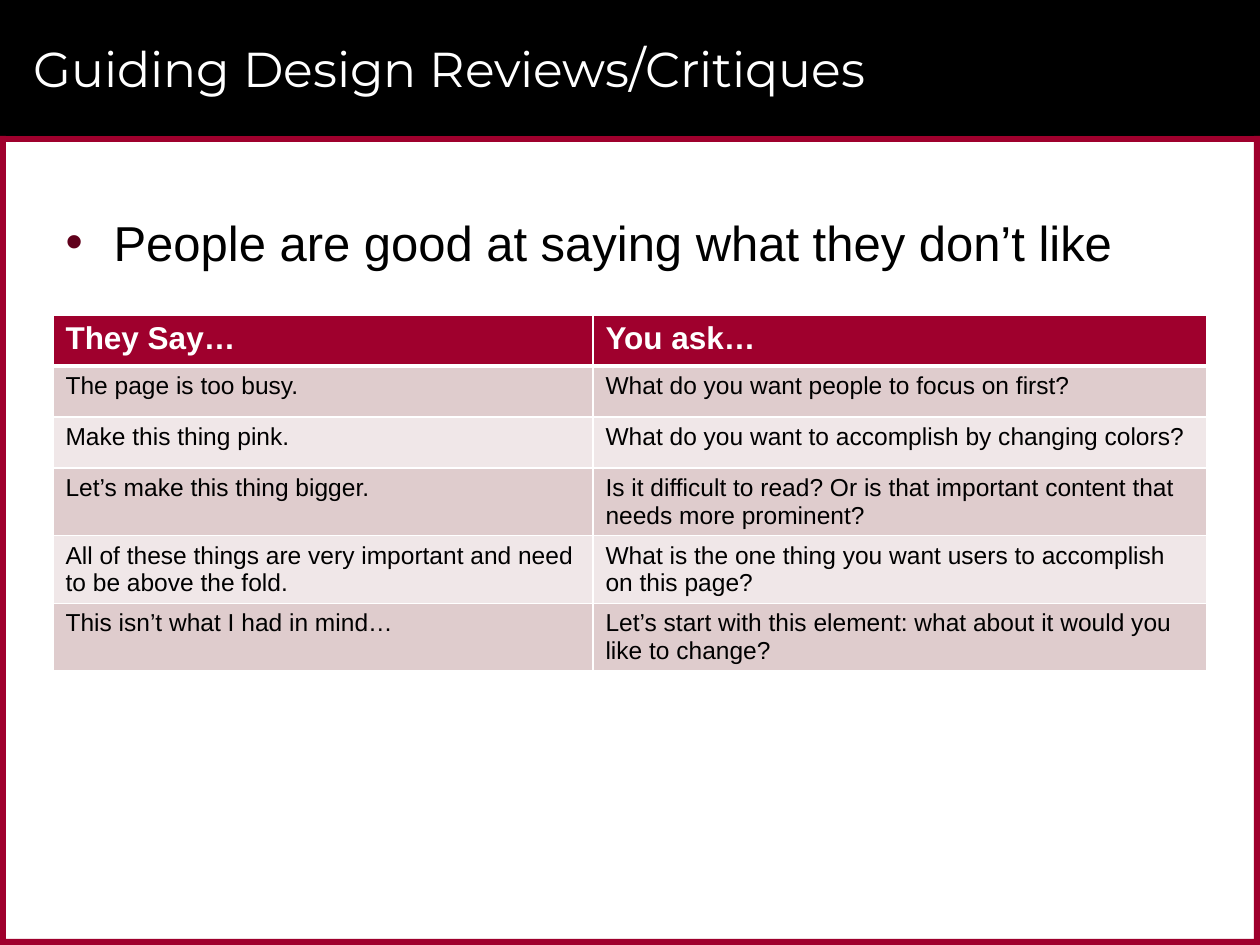
from lxml import etree
from pptx import Presentation
from pptx.dml.color import RGBColor
from pptx.enum.shapes import MSO_SHAPE
from pptx.enum.text import MSO_ANCHOR, MSO_AUTO_SIZE, PP_ALIGN
from pptx.oxml.ns import qn
from pptx.util import Pt

RECTANGLE = MSO_SHAPE.RECTANGLE
MIDDLE, TOP = MSO_ANCHOR.MIDDLE, MSO_ANCHOR.TOP
LEFT = PP_ALIGN.LEFT
NO_FIT = MSO_AUTO_SIZE.NONE
SCALE = 914400 / 126
WIDTH, HEIGHT, BAND, EDGE = 1260, 945, 136, 6
COLORS = {
    "black": "000000",
    "white": "FFFFFF",
    "crimson": "9F002D",
    "bullet": "60001B",
    "odd": "DFCCCD",
    "even": "F0E7E8",
}
FORMATS = {
    "title": {"name": "Montserrat", "size": Pt(28), "bold": False, "color": "white"},
    "body": {"name": "Arial", "size": Pt(28), "bold": False, "color": "black"},
    "header": {"name": "Arial", "size": Pt(18), "bold": True, "color": "white"},
    "cell": {"name": "Arial", "size": Pt(14), "bold": False, "color": "black"},
}
ROWS = [
    ("They Say…", "You ask…"),
    ("The page is too busy.", "What do you want people to focus on first?"),
    ("Make this thing pink.", "What do you want to accomplish by changing colors?"),
    ("Let’s make this thing bigger.",
     "Is it difficult to read? Or is that important content that needs more prominent?"),
    ("All of these things are very important and need to be above the fold.",
     "What is the one thing you want users to accomplish on this page?"),
    ("This isn’t what I had in mind…",
     "Let’s start with this element: what about it would you like to change?"),
]


def emu(px):
    """Turn pixels into EMU."""
    return round(px * SCALE)


def rgb(name):
    """Look up a named colour."""
    return RGBColor.from_string(COLORS[name])


def write(para, text, style):
    """Put one formatted span into a paragraph."""
    span = para.add_run()
    span.text = text
    for key, value in FORMATS[style].items():
        if key == "color":
            span.font.color.rgb = rgb(value)
        else:
            setattr(span.font, key, value)


def place(shape, box):
    """Move a shape to a pixel box."""
    for key, px in zip(("left", "top", "width", "height"), box):
        setattr(shape, key, emu(px))


def add_frame(page, box):
    """Draw the title band and the border below it, behind the title."""
    left, top, width, height = box
    side = height - BAND
    bars = [
        ("black", (left, top, width, BAND)),
        ("crimson", (left, top + BAND, width, EDGE)),
        ("crimson", (left, top + height - EDGE, width, EDGE)),
        ("crimson", (left + width - EDGE, top + BAND, EDGE, side)),
        ("crimson", (left, top + BAND, EDGE, side)),
    ]
    for color, area in bars:
        bar = page.shapes.add_shape(RECTANGLE, *map(emu, area))
        bar.shadow.inherit = False
        bar.fill.solid()
        bar.fill.fore_color.rgb = rgb(color)
        bar.line.fill.background()
        page.shapes.title.element.addprevious(bar.element)


def add_title(page, box, text):
    """Fill the title placeholder."""
    title = page.shapes.title
    place(title, box)
    frame = title.text_frame
    frame.auto_size = NO_FIT
    frame.vertical_anchor = MIDDLE
    para = frame.paragraphs[0]
    para.alignment = LEFT
    write(para, text, "title")


def add_body(page, box, text):
    """Fill the body placeholder with one bulleted line."""
    body = page.placeholders[1]
    place(body, box)
    frame = body.text_frame
    frame.auto_size = NO_FIT
    frame.vertical_anchor = TOP
    frame.margin_top = emu(13)
    para = frame.paragraphs[0]
    para.space_before, para.space_after = Pt(0), Pt(2)
    props = para._p.get_or_add_pPr()
    props.set("marL", str(emu(48)))
    props.set("indent", str(emu(-48)))
    color = etree.SubElement(props, qn("a:buClr"))
    etree.SubElement(color, qn("a:srgbClr"), val=COLORS["bullet"])
    etree.SubElement(props, qn("a:buFont"), typeface="Arial")
    etree.SubElement(props, qn("a:buChar"), char="•")
    write(para, text, "body")


def add_borders(cell, top, bottom):
    """Give a cell white borders, with top and bottom widths in points."""
    props = cell._tc.get_or_add_tcPr()
    widths = {"a:lnL": 1, "a:lnR": 1, "a:lnT": top, "a:lnB": bottom}
    for index, (tag, width) in enumerate(widths.items()):
        line = etree.Element(qn(tag), w=str(Pt(width)))
        fill = etree.SubElement(line, qn("a:solidFill"))
        etree.SubElement(fill, qn("a:srgbClr"), val=COLORS["white"])
        props.insert(index, line)


def add_table(page, box, columns, rows):
    """Build the table of remarks and questions."""
    shape = page.shapes.add_table(len(rows), len(columns), *map(emu, box))
    table = shape.table
    for column, width in zip(table.columns, columns):
        column.width = emu(width)
    for i, texts in enumerate(rows):
        color = "crimson" if i == 0 else "odd" if i % 2 else "even"
        for j, text in enumerate(texts):
            cell = table.cell(i, j)
            cell.fill.solid()
            cell.fill.fore_color.rgb = rgb(color)
            add_borders(cell, 3 if i == 1 else 1, 3 if i == 0 else 1)
            write(cell.text_frame.paragraphs[0], text, "cell" if i else "header")


def main():
    """Build and save the deck."""
    deck = Presentation()
    deck.slide_width, deck.slide_height = emu(WIDTH), emu(HEIGHT)
    page = deck.slides.add_slide(deck.slide_layouts[1])
    add_frame(page, (0, 0, WIDTH, HEIGHT))
    add_title(page, (21, 10, 1187, 116), "Guiding Design Reviews/Critiques")
    add_body(page, (53, 199, 1155, 714), "People are good at saying what they don’t like")
    add_table(page, (53, 315, 1154, 51 * len(ROWS)), (540, 614), ROWS)
    deck.save("out.pptx")


if __name__ == "__main__":
    main()
